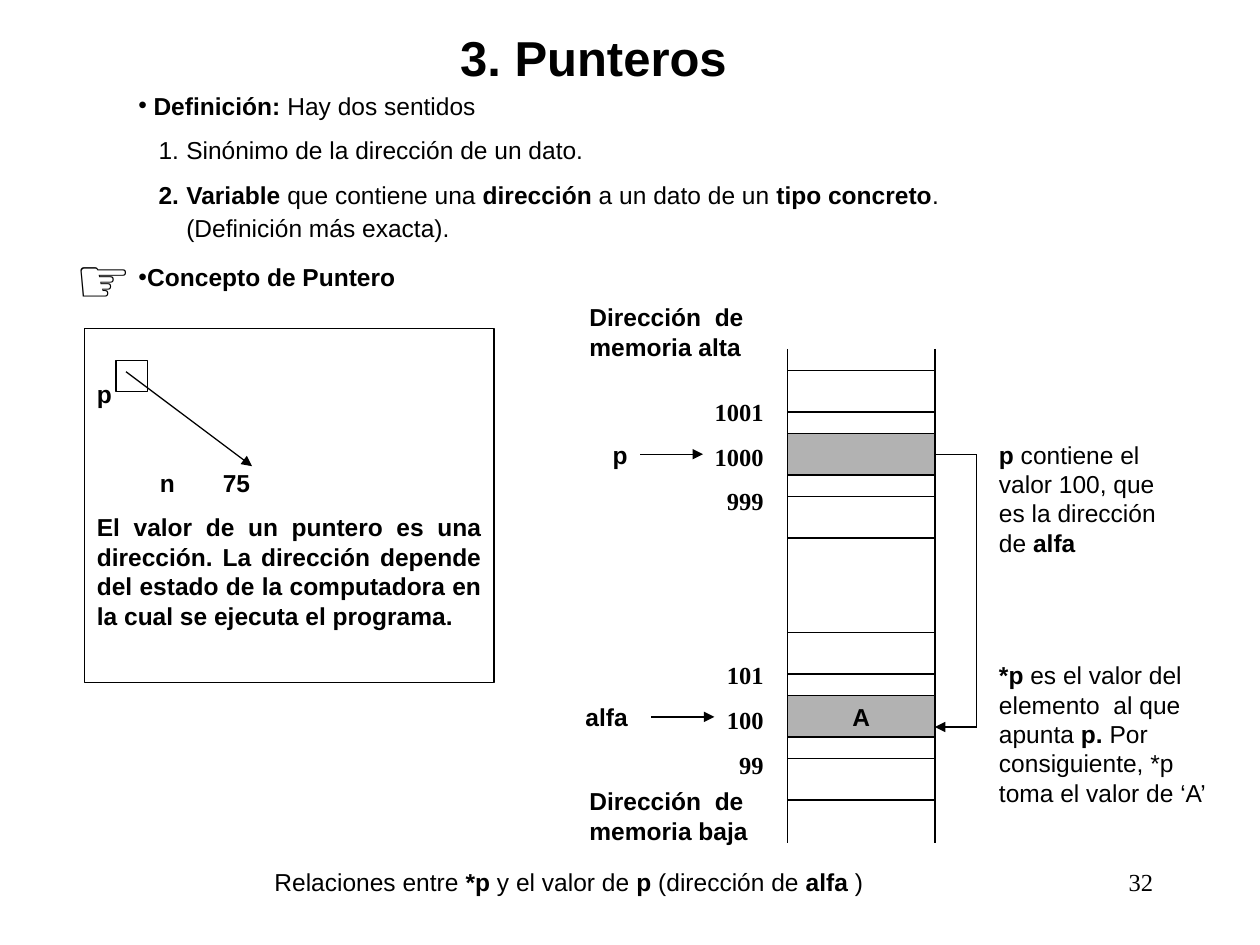
from dataclasses import dataclass

from lxml.etree import SubElement
from pptx import Presentation
from pptx.dml.color import RGBColor
from pptx.enum.shapes import MSO_CONNECTOR, MSO_SHAPE
from pptx.enum.text import MSO_ANCHOR, PP_ALIGN
from pptx.oxml.ns import qn
from pptx.util import Inches, Pt


@dataclass(frozen=True)
class Theme:
    ink: RGBColor = RGBColor(0, 0, 0)
    used_cell: RGBColor = RGBColor(0xB2, 0xB2, 0xB2)
    sans: str = "Arial"
    serif: str = "Times New Roman"
    title: float = 28
    hand: float = 36
    body: float = 14
    gap: float = 8.8
    line: float = 0.75


THEME = Theme()


@dataclass(frozen=True)
class Span:
    text: str
    bold: bool = False
    size: float = THEME.body
    font: str = THEME.sans


@dataclass(frozen=True)
class Para:
    spans: tuple[Span, ...]
    align: PP_ALIGN = PP_ALIGN.LEFT
    before: float = 0
    margin: float = 0
    hang: float = 0
    bullet: str = ""
    number: int = 0
    tabs: tuple[float, ...] = ()


def plain(text: str) -> Span:
    return Span(text)


def bold(text: str) -> Span:
    return Span(text, bold=True)


def format_list(para, spec_para: Para) -> None:
    """Set indents, then the bullet or number, then the tab stops."""
    props = para._p.get_or_add_pPr()
    props.set("marL", str(Inches(spec_para.margin)))
    props.set("indent", str(Inches(-spec_para.hang)))
    if spec_para.bullet:
        SubElement(props, qn("a:buFont"), typeface=THEME.sans)
        SubElement(props, qn("a:buChar"), char=spec_para.bullet)
    elif spec_para.number:
        SubElement(props, qn("a:buFont"), typeface=THEME.sans)
        SubElement(props, qn("a:buAutoNum"), type="arabicPeriod",
                   startAt=str(spec_para.number))
    if spec_para.tabs:
        stops = SubElement(props, qn("a:tabLst"))
        for stop in spec_para.tabs:
            SubElement(stops, qn("a:tab"), pos=str(Inches(stop)), algn="l")


def write(shape, paras: list[Para], anchor=MSO_ANCHOR.TOP, top: float = 0.05) -> None:
    frame = shape.text_frame
    frame.word_wrap = True
    frame.vertical_anchor = anchor
    frame.margin_top = Inches(top)
    for index, item in enumerate(paras):
        para = frame.paragraphs[0] if index == 0 else frame.add_paragraph()
        format_list(para, item)
        para.alignment = item.align
        para.space_before = Pt(item.before)
        for span in item.spans:
            run = para.add_run()
            run.text = span.text
            run.font.name = span.font
            run.font.size = Pt(span.size)
            run.font.bold = span.bold
            run.font.color.rgb = THEME.ink


def add_text(page, left: float, top: float, width: float, height: float, *paras: Para):
    box = page.shapes.add_textbox(Inches(left), Inches(top), Inches(width), Inches(height))
    write(box, list(paras))
    return box


def add_box(page, left: float, top: float, width: float, height: float, fill=None):
    box = page.shapes.add_shape(MSO_SHAPE.RECTANGLE, Inches(left), Inches(top),
                                Inches(width), Inches(height))
    box.shadow.inherit = False
    if fill is None:
        box.fill.background()
    else:
        box.fill.solid()
        box.fill.fore_color.rgb = fill
    box.line.color.rgb = THEME.ink
    box.line.width = Pt(THEME.line)
    return box


def add_line(page, x1: float, y1: float, x2: float, y2: float, arrow: bool = False):
    line = page.shapes.add_connector(MSO_CONNECTOR.STRAIGHT, Inches(x1), Inches(y1),
                                     Inches(x2), Inches(y2))
    line.line.color.rgb = THEME.ink
    line.line.width = Pt(THEME.line)
    if arrow:
        SubElement(line.line._get_or_add_ln(), qn("a:tailEnd"), type="triangle")
    SubElement(line._element.spPr, qn("a:effectLst"))
    return line


def add_headings(page) -> None:
    add_text(page, 2.92, 0.17, 3.58, 0.57,
             Para((Span("3. Punteros", True, THEME.title),), PP_ALIGN.CENTER))
    add_text(page, 1, 2.03, 8.25, 0.45,
             Para((bold("Concepto de Puntero"),), margin=0.07, hang=0.07, bullet="•"))
    add_text(page, 0.5, 1.86, 0.74, 0.61, Para((Span("☞", size=THEME.hand),)))
    numbered = dict(before=THEME.gap, margin=0.38, hang=0.22)
    add_text(
        page, 1, 0.67, 7.92, 1.3,
        Para((bold("Definición: "), plain("Hay dos sentidos")),
             margin=0.12, hang=0.12, bullet="•"),
        Para((plain("Sinónimo de la dirección de un dato."),), number=1, **numbered),
        Para((bold("Variable"), plain(" que contiene una "), bold("dirección"),
              plain(" a un dato de un "), bold("tipo concreto"), plain(".")),
             number=2, **numbered),
        Para((plain("(Definición más exacta)."),), before=1.8, margin=0.38))


def add_concept(page) -> None:
    panel = add_box(page, 0.67, 2.61, 3.25, 2.81)
    write(panel, [
        Para((bold("p"),)),
        Para((bold("\tn\t75"),), before=33.7, tabs=(0.75, 1.26)),
        Para((bold("El valor de un puntero es una dirección. La dirección depende "
                   "del estado de la computadora en la cual se ejecuta el programa."),),
             PP_ALIGN.JUSTIFY, THEME.gap)], top=0.4)
    add_box(page, 0.92, 2.86, 0.25, 0.25)
    add_line(page, 1, 2.95, 2, 3.7, arrow=True)


def add_memory(page) -> None:
    left, width, height, step = 6.25, 1.17, 0.33, 0.5
    right, elbow = left + width, 7.75

    # Memory column: two runs of three cells, the middle one in use
    for side in (left, right):
        add_line(page, side, 2.77, side, 6.69)
    used = []
    for first in (2.94, 5.02):
        cells = [add_box(page, left, first + step * i, width, height,
                         THEME.used_cell if i == 1 else None) for i in range(3)]
        used.append(cells[1])
    pointer_cell, alfa_cell = used
    write(alfa_cell, [Para((bold("A"),), PP_ALIGN.CENTER)], MSO_ANCHOR.MIDDLE)

    # Path from the pointer to its target
    pointer_y, target_y = 3.605, 5.77
    add_line(page, right, pointer_y, elbow, pointer_y).begin_connect(pointer_cell, 3)
    add_line(page, elbow, pointer_y, elbow, target_y)
    add_line(page, elbow, target_y, right, target_y, arrow=True)

    # Addresses and the ends of memory
    for top, addresses in ((3.1, ("1001", "1000", "999")), (5.19, ("101", "100", "99"))):
        add_text(page, 5.33, top, 0.83, 1.05, *(
            Para((Span(address, True, font=THEME.serif),), PP_ALIGN.RIGHT,
                 THEME.gap if i else 0) for i, address in enumerate(addresses)))
    for top, end in ((2.35, "alta"), (6.19, "baja")):
        add_text(page, 4.58, top, 1.5, 0.55,
                 Para((bold("Dirección  de"),)), Para((bold(f"memoria {end}"),)))

    # Variable names with their arrows
    name = add_text(page, 4.58, 3.44, 0.5, height, Para((bold("p"),), PP_ALIGN.RIGHT))
    add_line(page, 5.08, pointer_y, 5.58, pointer_y, arrow=True).begin_connect(name, 3)
    add_text(page, 4.5, 5.52, 0.58, height, Para((bold("alfa"),), PP_ALIGN.RIGHT))
    add_line(page, 5.17, 5.69, 5.67, 5.69, arrow=True)

    # Explanations
    add_text(page, 7.83, 3.44, 1.5, 1.04, Para((
        bold("p "), plain("contiene el valor 100, que es la dirección de "), bold("alfa"))))
    add_text(page, 7.83, 5.19, 1.92, 1.27, Para((
        bold("*p "), plain("es el valor del elemento  al que apunta "), bold("p. "),
        plain("Por consiguiente, *p toma el valor de ‘A’"))))


def add_footer(page) -> None:
    add_text(page, 2.08, 6.83, 5.17, 0.34, Para((
        plain("Relaciones entre "), bold("*p"), plain(" y el valor de "), bold("p"),
        plain(" (dirección de "), bold("alfa"), plain(" )"))))
    add_text(page, 7.17, 6.83, 2.08, 0.5,
             Para((Span("32", font=THEME.serif),), PP_ALIGN.RIGHT))


def main() -> None:
    deck = Presentation()
    deck.slide_width, deck.slide_height = Inches(10), Inches(7.5)
    page = deck.slides.add_slide(deck.slide_layouts[6])
    add_headings(page)
    add_concept(page)
    add_memory(page)
    add_footer(page)
    deck.save("out.pptx")


if __name__ == "__main__":
    main()
